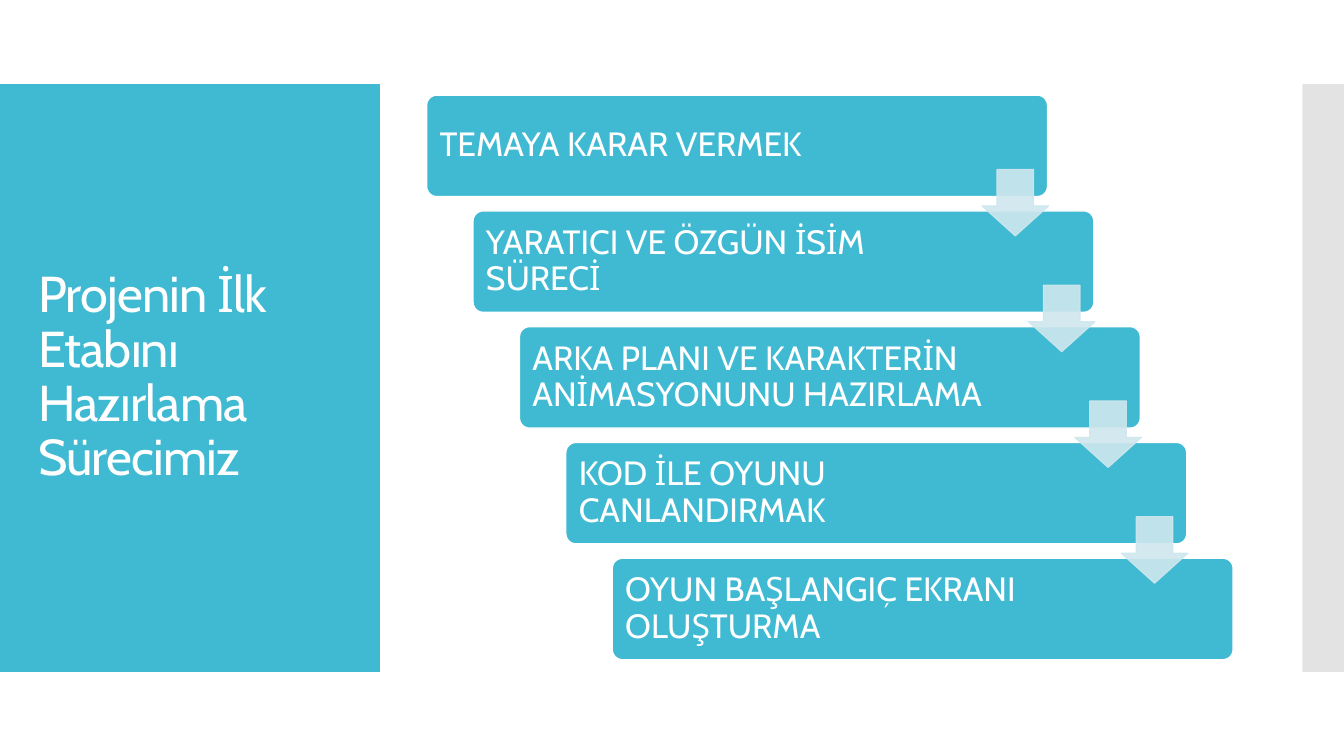
from dataclasses import dataclass

from lxml.etree import SubElement
from pptx import Presentation
from pptx.dml.color import RGBColor
from pptx.enum.shapes import MSO_SHAPE
from pptx.enum.text import MSO_ANCHOR, MSO_AUTO_SIZE, PP_ALIGN
from pptx.oxml.ns import qn
from pptx.util import Pt


@dataclass(frozen=True)
class Theme:
    font: str = "Cabin"
    accent: str = "40BAD2"
    arrow: str = "CFE7EE"
    strip: str = "C8C8C8"
    white: str = "FFFFFF"
    title_size: float = 36
    step_size: float = 24
    outline: float = 0.85


THEME = Theme()
TITLE = "Projenin İlk Etabını Hazırlama Sürecimiz"
STEPS = [
    "TEMAYA KARAR VERMEK",
    "YARATICI VE ÖZGÜN İSİM SÜRECİ",
    "ARKA PLANI VE KARAKTERİN ANİMASYONUNU HAZIRLAMA",
    "KOD İLE OYUNU CANLANDIRMAK",
    "OYUN BAŞLANGIÇ EKRANI OLUŞTURMA",
]


def paint(color_format, color, opacity):
    """Make a fill solid, with transparency when opacity is below 100."""
    color_format.solid()
    color_format.fore_color.rgb = RGBColor.from_string(color)
    if opacity < 100:
        color_element = color_format._xPr.find(qn("a:solidFill"))[0]
        SubElement(color_element, qn("a:alpha")).set("val", str(opacity * 1000))


def add_block(slide, kind, box, fill, line=None, opacity=100, adjustments=()):
    shape = slide.shapes.add_shape(kind, *(Pt(length) for length in box))
    shape.shadow.inherit = False
    for index, value in enumerate(adjustments):
        shape.adjustments[index] = value
    paint(shape.fill, fill, opacity)
    if line:
        paint(shape.line.fill, line, opacity)
        shape.line.width = Pt(THEME.outline)
    else:
        shape.line.fill.background()
    return shape


def write_text(shape, text, size, margins=(7.2, 7.2, 7.2, 7.2), spacing=0):
    frame = shape.text_frame
    frame.word_wrap = True
    frame.auto_size = MSO_AUTO_SIZE.NONE
    frame.vertical_anchor = MSO_ANCHOR.MIDDLE
    frame.margin_left, frame.margin_top, frame.margin_right, frame.margin_bottom = (
        Pt(margin) for margin in margins
    )
    paragraph = frame.paragraphs[0]
    paragraph.alignment = PP_ALIGN.LEFT
    paragraph.line_spacing = 0.9
    run = paragraph.add_run()
    run.text = text
    run.font.name = THEME.font
    run.font.size = Pt(size)
    run.font.color.rgb = RGBColor.from_string(THEME.white)
    if spacing:
        run.font._element.set("spc", str(round(spacing * 100)))


def add_title_panel(slide, left, top, width, height):
    panel = add_block(slide, MSO_SHAPE.RECTANGLE, (left, top, width, height), THEME.accent)
    title = slide.shapes.title
    title.left, title.top = Pt(left + 20), Pt(top + 29)
    title.width, title.height = Pt(width - 39.5), Pt(height - 58)
    write_text(title, TITLE, THEME.title_size, margins=(7.2, 3.6, 7.2, 3.6), spacing=-0.6)
    # Keep the title in front of its panel
    panel._element.addnext(title._element)


def add_side_strip(slide, left, top, width, height):
    add_block(slide, MSO_SHAPE.RECTANGLE, (left, top, width, height), THEME.strip, opacity=50)


def add_staircase(slide, left, top, width, height):
    step_width, step_height, arrow_size = 443.4, 72.4, 47.5
    gaps = len(STEPS) - 1
    shift = (width - step_width) / gaps
    drop = (height - step_height) / gaps

    # Steps
    for index, text in enumerate(STEPS):
        box = (left + index * shift, top + index * drop, step_width, step_height)
        step = add_block(slide, MSO_SHAPE.ROUNDED_RECTANGLE, box, THEME.accent,
                         line=THEME.white, adjustments=(0.1,))
        write_text(step, text, THEME.step_size, margins=(7.2, 7.2, 87, 7.2))

    # Arrows from each step to the next
    for index in range(gaps):
        box = (left + index * shift + step_width - arrow_size + 0.8,
               top + index * drop + 53, arrow_size, arrow_size)
        add_block(slide, MSO_SHAPE.DOWN_ARROW, box, THEME.arrow,
                  line=THEME.arrow, opacity=90, adjustments=(0.55, 0.45))


def main():
    presentation = Presentation()
    presentation.slide_width, presentation.slide_height = Pt(960), Pt(540)
    slide = presentation.slides.add_slide(presentation.slide_layouts[5])
    add_title_panel(slide, 0, 60, 271.4, 420)
    add_side_strip(slide, 930.4, 60, 29.6, 420)
    add_staircase(slide, 304.8, 68, 576, 403.2)
    presentation.save("out.pptx")


if __name__ == "__main__":
    main()
